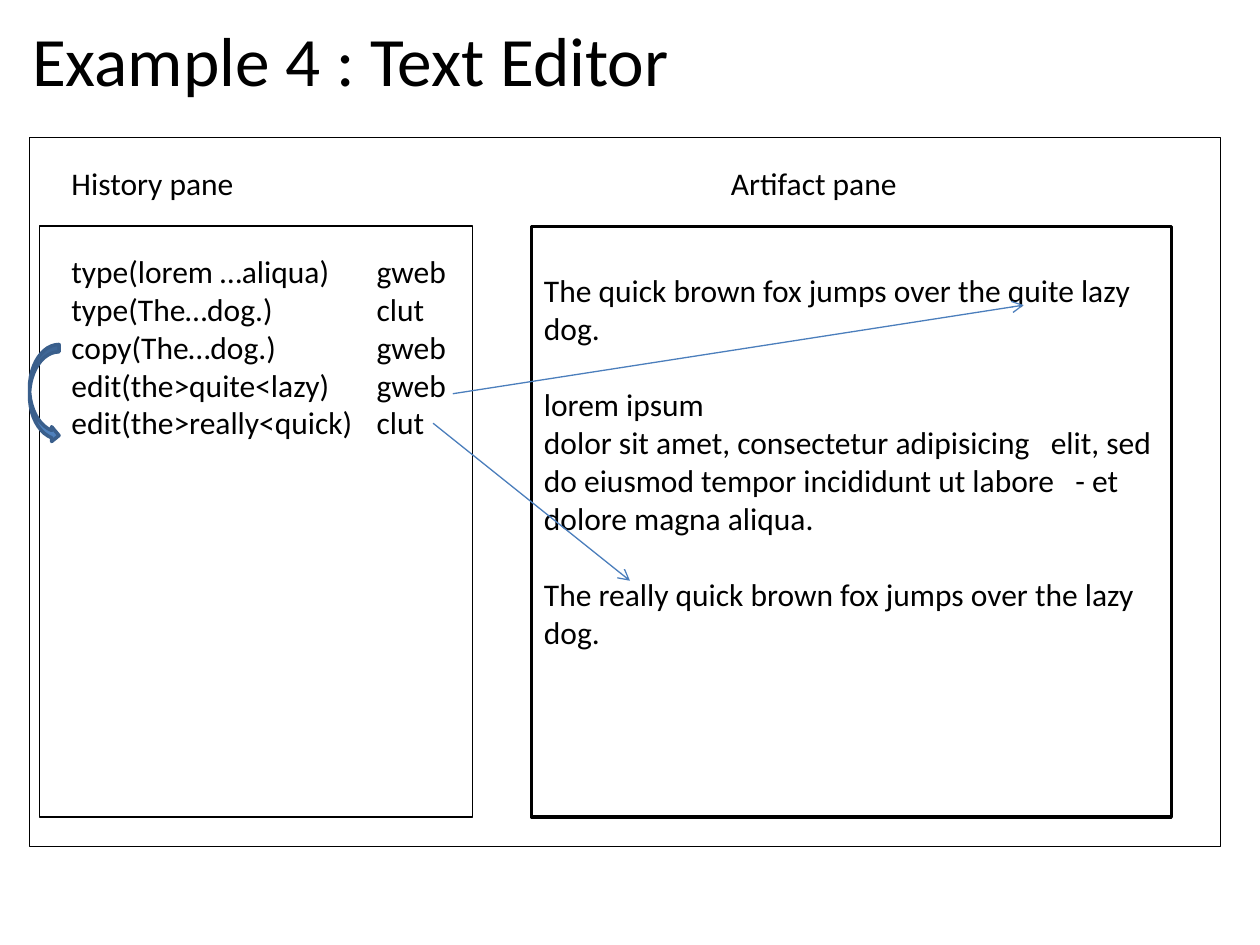
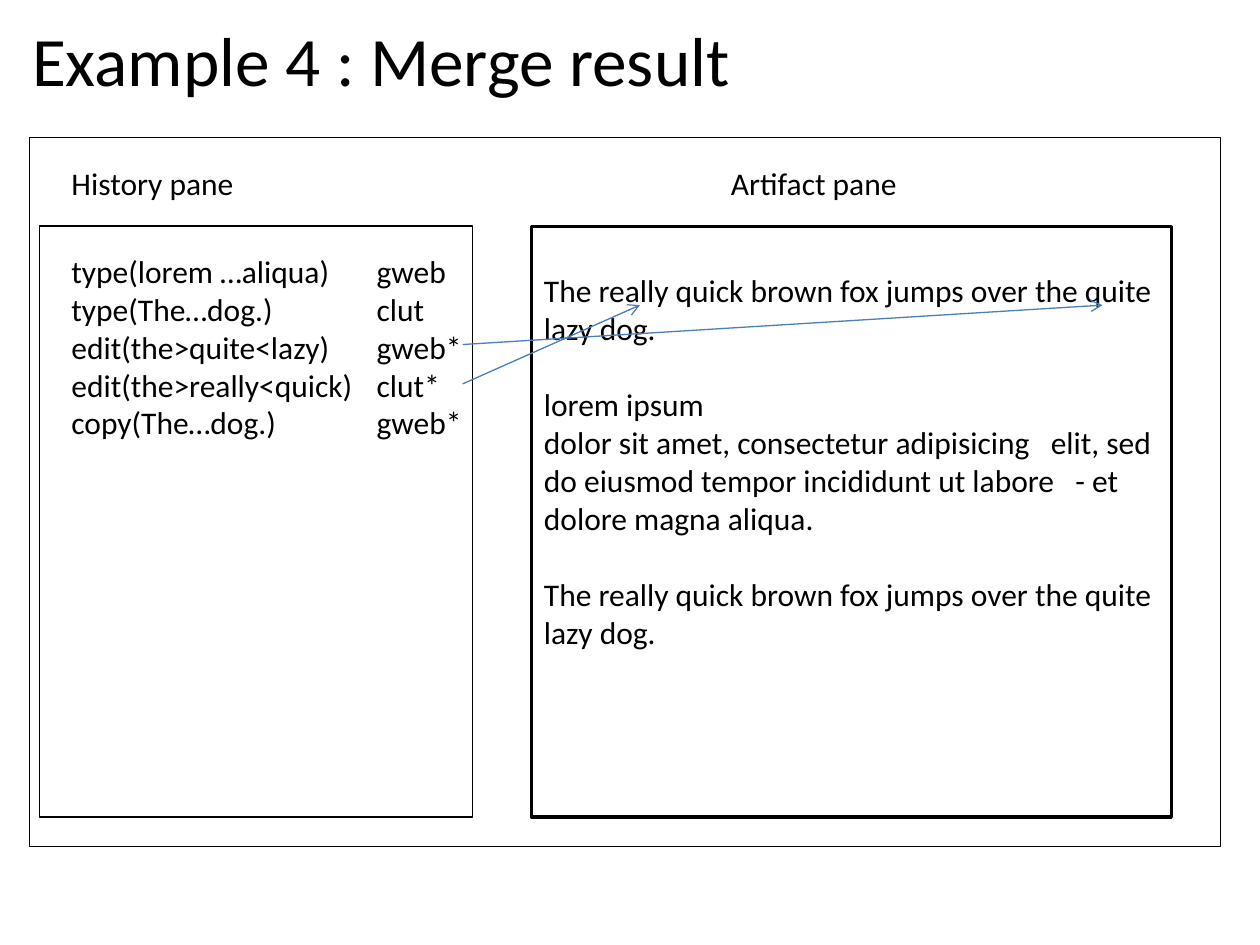
from dataclasses import dataclass
from typing import Optional

from lxml.etree import SubElement
from pptx import Presentation
from pptx.dml.color import RGBColor
from pptx.enum.shapes import MSO_CONNECTOR, MSO_SHAPE
from pptx.enum.text import MSO_ANCHOR, PP_ALIGN
from pptx.oxml.ns import qn
from pptx.util import Inches, Pt

COLOURS = {
    "ink": "000000",
    "paper": "FFFFFF",
    "arrow": "4B7EBC",
    "curve": "4F81BD",
    "curve_edge": "3A5F8C",
}
FONT = "Calibri"
BODY_SIZE = 18
TITLE_SIZE = 39.6
LINE_HEIGHT = Pt(22)
SLIDE_WIDTH, SLIDE_HEIGHT = Inches(10), Inches(7.5)
COLUMNS, ROWS = 128, 96
CELL_WIDTH, CELL_HEIGHT = SLIDE_WIDTH / COLUMNS, SLIDE_HEIGHT / ROWS


@dataclass(frozen=True)
class Area:
    column: float
    row: float
    columns: float
    rows: float

    def place(self) -> tuple[int, int, int, int]:
        return (
            round(self.column * CELL_WIDTH),
            round(self.row * CELL_HEIGHT),
            round(self.columns * CELL_WIDTH),
            round(self.rows * CELL_HEIGHT),
        )


@dataclass(frozen=True)
class Pointer:
    start: tuple[float, float]
    end: tuple[float, float]


@dataclass(frozen=True)
class Command:
    action: str
    author: str


@dataclass(frozen=True)
class EditorPage:
    title: str
    commands: list[Command]
    author_columns: int
    first_sentence: str
    last_sentence: str
    pointers: list[Pointer]
    copy_curve: Optional[Area] = None


TITLE = Area(2, 2, 115, 8)
WINDOW = Area(3, 14, 121, 72)
HISTORY_LABEL = Area(6, 16, 38, 6)
ARTIFACT_LABEL = Area(73, 16, 38, 6)
HISTORY_PANE = Area(4, 23, 44, 60)
ARTIFACT_PANE = Area(54, 23, 65, 60)
ACTIONS = Area(6, 25, 33, 21)
AUTHOR_COLUMN = 37

LOREM = (
    "lorem ipsum\ndolor sit amet, consectetur adipisicing   elit, sed do eiusmod "
    "tempor incididunt ut labore   - et dolore magna aliqua."
)
TYPE_LOREM = Command("type(lorem …aliqua)", "gweb")
TYPE_DOG = Command("type(The…dog.)", "clut")
COPY_DOG = "copy(The…dog.)"
EDIT_LAZY = "edit(the>quite<lazy)"
EDIT_QUICK = "edit(the>really<quick)"
MERGED = "The really quick brown fox jumps over the quite lazy dog."

PAGES = [
    EditorPage(
        title="Example 4 : Text Editor",
        commands=[
            TYPE_LOREM,
            TYPE_DOG,
            Command(COPY_DOG, "gweb"),
            Command(EDIT_LAZY, "gweb"),
            Command(EDIT_QUICK, "clut"),
        ],
        author_columns=10,
        first_sentence="The quick brown fox jumps over the quite lazy dog.",
        last_sentence="The really quick brown fox jumps over the lazy dog.",
        pointers=[Pointer((46, 40), (104, 31)), Pointer((44, 43), (64, 59))],
        copy_curve=Area(3, 35, 3, 10),
    ),
    EditorPage(
        title="Example 4 : Merge result",
        commands=[
            TYPE_LOREM,
            TYPE_DOG,
            Command(EDIT_LAZY, "gweb*"),
            Command(EDIT_QUICK, "clut*"),
            Command(COPY_DOG, "gweb*"),
        ],
        author_columns=14,
        first_sentence=MERGED,
        last_sentence=MERGED,
        pointers=[Pointer((47, 35), (112, 31)), Pointer((47, 39), (65, 31))],
    ),
]


def colour(name: str) -> RGBColor:
    return RGBColor.from_string(COLOURS[name])


def write(box, paragraphs: list[str], size: float = BODY_SIZE, gap: int = 0) -> None:
    frame = box.text_frame
    frame.word_wrap = True
    for index, text in enumerate(paragraphs):
        para = frame.paragraphs[0] if index == 0 else frame.add_paragraph()
        para.alignment = PP_ALIGN.LEFT
        if index:
            para.space_before = gap
        for number, line in enumerate(text.split("\n")):
            if number:
                para.add_line_break()
            span = para.add_run()
            span.text = line
            span.font.name = FONT
            span.font.size = Pt(size)
            span.font.color.rgb = colour("ink")


def add_text(page, area: Area, paragraphs: list[str], size: float = BODY_SIZE):
    box = page.shapes.add_textbox(*area.place())
    write(box, paragraphs, size)
    return box


def add_figure(page, kind: MSO_SHAPE, area: Area, width: float,
               edge: str = "ink", fill: Optional[str] = None):
    figure = page.shapes.add_shape(kind, *area.place())
    figure.shadow.inherit = False
    figure.line.color.rgb = colour(edge)
    figure.line.width = Pt(width)
    if fill:
        figure.fill.solid()
        figure.fill.fore_color.rgb = colour(fill)
    else:
        figure.fill.background()
    return figure


def add_pointer(page, pointer: Pointer) -> None:
    ends = [
        round(value)
        for column, row in (pointer.start, pointer.end)
        for value in (column * CELL_WIDTH, row * CELL_HEIGHT)
    ]
    arrow = page.shapes.add_connector(MSO_CONNECTOR.STRAIGHT, *ends)
    arrow.line.color.rgb = colour("arrow")
    arrow.line.width = Pt(0.75)
    SubElement(arrow.line._get_or_add_ln(), qn("a:tailEnd"), type="arrow")
    SubElement(arrow._element.spPr, qn("a:effectLst"))


def draw_page(deck, content: EditorPage) -> None:
    page = deck.slides.add_slide(deck.slide_layouts[6])
    add_text(page, HISTORY_LABEL, ["History pane"])
    add_text(page, ARTIFACT_LABEL, ["Artifact pane"])
    add_figure(page, MSO_SHAPE.RECTANGLE, WINDOW, 0.75)

    authors = Area(AUTHOR_COLUMN, ACTIONS.row, content.author_columns, ACTIONS.rows)
    add_text(page, authors, [command.author for command in content.commands])
    add_text(page, ACTIONS, [command.action for command in content.commands])
    add_figure(page, MSO_SHAPE.RECTANGLE, HISTORY_PANE, 1)

    title = add_text(page, TITLE, [content.title], TITLE_SIZE)
    title.text_frame.vertical_anchor = MSO_ANCHOR.MIDDLE

    if content.copy_curve:
        add_figure(page, MSO_SHAPE.CURVED_RIGHT_ARROW, content.copy_curve, 2,
                   "curve_edge", "curve")

    artifact = add_figure(page, MSO_SHAPE.RECTANGLE, ARTIFACT_PANE, 2, fill="paper")
    artifact.text_frame.vertical_anchor = MSO_ANCHOR.TOP
    artifact.text_frame.margin_top = Inches(0.05) + LINE_HEIGHT
    write(artifact, [content.first_sentence, LOREM, content.last_sentence],
          gap=LINE_HEIGHT)

    for pointer in content.pointers:
        add_pointer(page, pointer)


def main() -> None:
    deck = Presentation()
    deck.slide_width, deck.slide_height = SLIDE_WIDTH, SLIDE_HEIGHT
    for content in PAGES:
        draw_page(deck, content)
    deck.save("out.pptx")


if __name__ == "__main__":
    main()
